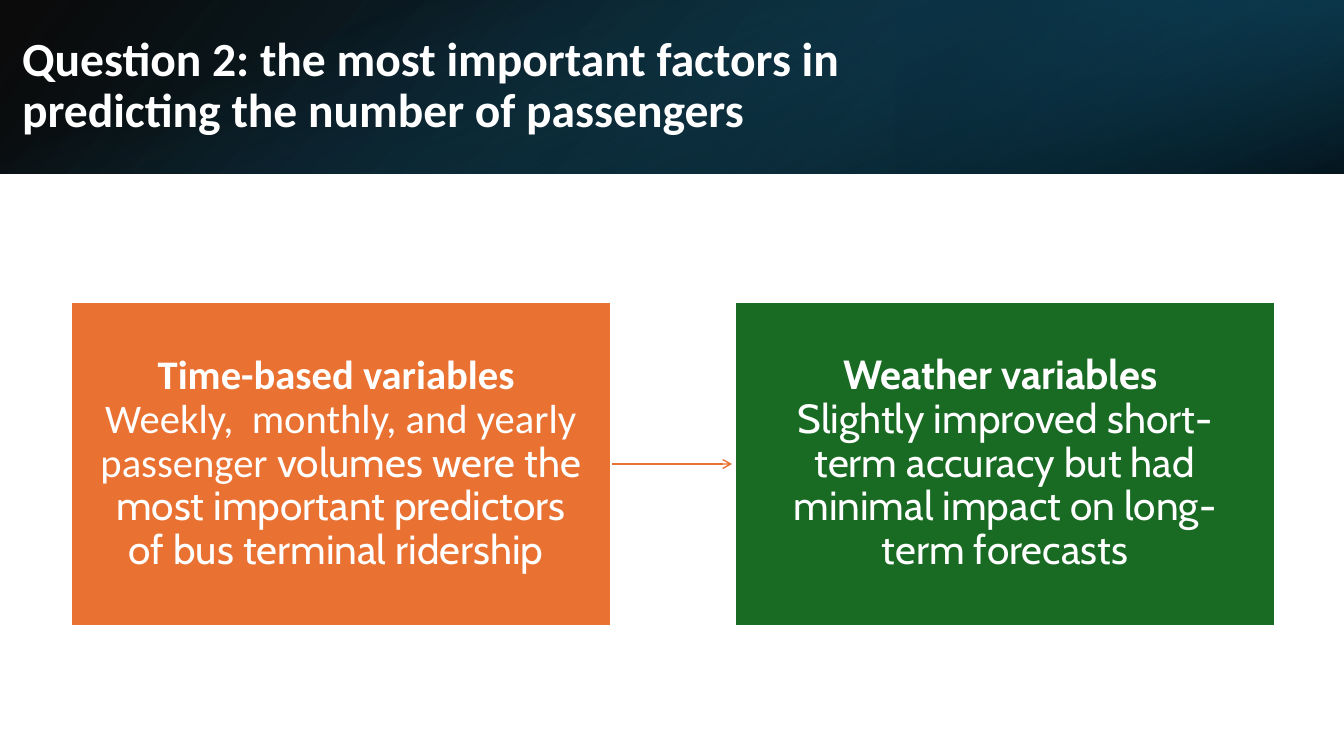
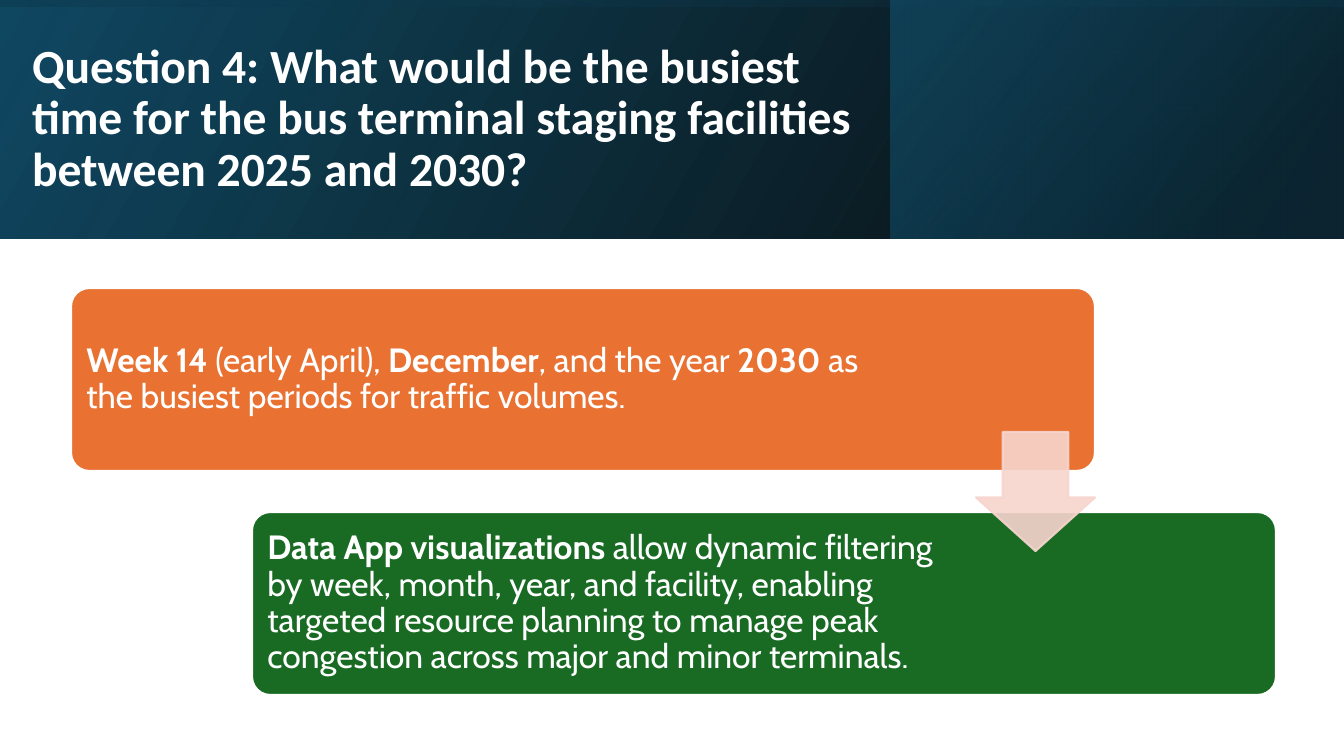
from dataclasses import dataclass

from lxml.etree import SubElement
from pptx import Presentation
from pptx.dml.color import RGBColor
from pptx.enum.shapes import MSO_CONNECTOR as Connector, MSO_SHAPE as Shape
from pptx.enum.text import MSO_ANCHOR as Anchor, MSO_AUTO_SIZE as AutoSize, PP_ALIGN as Align
from pptx.oxml import parse_xml
from pptx.oxml.ns import nsdecls, qn
from pptx.util import Emu, Pt

PX = 914400 / 100.8
SLIDE_W, SLIDE_H = 1344, 756


def px(length):
    return Emu(round(length * PX))


@dataclass(frozen=True)
class Theme:
    white: str = "FFFFFF"
    black: str = "000000"
    orange: str = "E97132"
    green: str = "196B24"
    blush: str = "F7D5CE"
    navy: str = "0B3041"
    deep_teal: str = "104862"
    teal: str = "156082"
    title_font: str = "Calibri"
    body_font: str = "Cabin"
    title_size: int = 34
    box_size: int = 29
    card_size: int = 24
    line_spacing: float = 0.9
    outline: float = 1.5


THEME = Theme()


class Deck:
    """Holds the style and the slide being built."""

    def __init__(self, theme):
        self.theme = theme
        self.file = Presentation()
        self.file.slide_width, self.file.slide_height = px(SLIDE_W), px(SLIDE_H)
        self.slide = None

    def new_slide(self):
        self.slide = self.file.slides.add_slide(self.file.slide_layouts[5])

    def shape(self, kind, x, y, w, h):
        shape = self.slide.shapes.add_shape(kind, px(x), px(y), px(w), px(h))
        shape.shadow.inherit = False
        return shape

    def paint(self, shape, fill, line):
        shape.fill.solid()
        shape.fill.fore_color.rgb = RGBColor.from_string(fill)
        shape.line.color.rgb = RGBColor.from_string(line)
        shape.line.width = Pt(self.theme.outline)

    def style(self, paragraph, size):
        paragraph.line_spacing = self.theme.line_spacing
        paragraph.font.size = Pt(size)
        paragraph.font.color.rgb = RGBColor.from_string(self.theme.white)

    def band_layer(self, x, w, h, stops, angle, flip=False, turn=0):
        """Gradient layer at the slide top; stops are (position, colour, opacity)."""
        y = 0
        if turn in (90, 270):
            x, y, w, h = x + (w - h) / 2, (h - w) / 2, h, w
        layer = self.shape(Shape.RECTANGLE, x, y, w, h)
        layer.rotation = turn
        props = layer.element.spPr
        if flip:
            props.xfrm.set("flipH", "1")
        stop_xml = "".join(
            f'<a:gs pos="{pos * 1000}"><a:srgbClr val="{colour}">'
            f'<a:alpha val="{opacity * 1000}"/></a:srgbClr></a:gs>'
            for pos, colour, opacity in stops)
        layer.fill.background()
        props.replace(props.find(qn("a:noFill")), parse_xml(
            f'<a:gradFill {nsdecls("a")} rotWithShape="1"><a:gsLst>{stop_xml}</a:gsLst>'
            f'<a:lin ang="{angle * 60000}" scaled="0"/></a:gradFill>'))
        layer.line.fill.background()

    def base_band(self, h, angle):
        stops = [(0, self.theme.black, 96), (100, self.theme.deep_teal, 100)]
        self.band_layer(0, SLIDE_W, h, stops, angle, flip=True)

    def title(self, text, x, y, w, h):
        title = self.slide.shapes.title
        title.left, title.top, title.width, title.height = map(px, (x, y, w, h))
        # Bring the title in front of the band
        title.element.getparent().append(title.element)
        frame = title.text_frame
        frame.text = text
        frame.word_wrap = True
        frame.auto_size = AutoSize.NONE
        frame.vertical_anchor = Anchor.MIDDLE
        paragraph = frame.paragraphs[0]
        paragraph.alignment = Align.LEFT
        self.style(paragraph, self.theme.title_size)
        paragraph.font.name = self.theme.title_font
        paragraph.font.bold = True

    def panel(self, kind, box, fill, runs, size, align, margins):
        """Filled shape with text; runs are (text, bold, font), None breaks the line."""
        panel = self.shape(kind, *box)
        self.paint(panel, fill, self.theme.white)
        if kind == Shape.ROUNDED_RECTANGLE:
            panel.adjustments[0] = 0.1
        frame = panel.text_frame
        frame.word_wrap = True
        frame.vertical_anchor = Anchor.MIDDLE
        (frame.margin_left, frame.margin_top,
         frame.margin_right, frame.margin_bottom) = map(px, margins)
        paragraph = frame.paragraphs[0]
        paragraph.alignment = align
        self.style(paragraph, size)
        for part in runs:
            if part is None:
                paragraph.add_line_break()
                continue
            run = paragraph.add_run()
            run.text, run.font.bold, run.font.name = part

    def arrow(self, x1, x2, y, colour):
        arrow = self.slide.shapes.add_connector(Connector.STRAIGHT, px(x1), px(y), px(x2), px(y))
        arrow.line.color.rgb = RGBColor.from_string(colour)
        arrow.line.width = Pt(1)
        SubElement(arrow.line._get_or_add_ln(), qn("a:tailEnd"), type="arrow")
        SubElement(arrow.element.spPr, qn("a:effectLst"))

    def down_arrow(self, x, y, size, colour, opacity):
        arrow = self.shape(Shape.DOWN_ARROW, x, y, size, size)
        arrow.adjustments[0], arrow.adjustments[1] = 0.55, 0.45
        self.paint(arrow, colour, colour)
        for tint in arrow.element.spPr.iter(qn("a:srgbClr")):
            SubElement(tint, qn("a:alpha"), val=str(opacity * 1000))


def factors_slide(deck):
    t = deck.theme
    deck.new_slide()

    # Title band
    band_h = 174
    deck.base_band(band_h, 140)
    deck.band_layer(896, 448, band_h, [(19, t.navy, 68), (100, t.teal, 79)], 320,
                    flip=True, turn=180)
    deck.band_layer(0, SLIDE_W, band_h, [(23, t.teal, 0), (99, t.black, 74)], 340, turn=90)
    deck.title("Question 2: the most important factors in predicting the number of passengers",
               12, 20, 883, 133)

    # Two groups of variables, joined by an arrow
    deck.arrow(611, 732, 464, t.orange)
    groups = [
        (t.orange, [("Time-based variables ", True, t.title_font), None,
                    ("Weekly,  monthly, and\u00a0yearly passenger ", False, t.title_font),
                    ("volumes were the most important predictors of bus terminal ridership ",
                     False, t.body_font)]),
        (t.green, [("Weather variables ", True, t.body_font), None,
                   ("Slightly improved short-term accuracy but had minimal impact on "
                    "long-term forecasts", False, t.body_font)]),
    ]
    for i, (fill, runs) in enumerate(groups):
        deck.panel(Shape.RECTANGLE, (71 + i * 664, 302, 540, 324), fill, runs,
                   t.box_size, Align.CENTER, (26, 28, 26, 28))


def busiest_time_slide(deck):
    t = deck.theme
    deck.new_slide()

    # Title band
    band_h = 239
    deck.base_band(band_h, 330)
    deck.band_layer(891, 452, band_h, [(19, t.navy, 68), (100, t.teal, 48)], 320, flip=True)
    deck.band_layer(0, SLIDE_W, band_h, [(23, t.deep_teal, 16), (99, t.black, 45)], 350,
                    flip=True, turn=270)
    deck.title("Question 4: What would be the busiest time for the bus terminal staging "
               "facilities between 2025 and 2030?", 22, 33, 869, 173)

    # Stepped cards: fill, right margin, text with its bold flag
    cards = [
        (t.orange, 188, [("Week 14", True), (" (early April), ", False), ("December", True),
                         (", and the year ", False), ("2030", True),
                         (" as the busiest periods for traffic volumes.", False)]),
        (t.green, 310, [("Data App visualizations", True),
                        (" allow dynamic filtering by week, month, year, and facility, "
                         "enabling targeted resource planning to manage peak congestion "
                         "across major and minor terminals.", False)]),
    ]
    for i, (fill, right, parts) in enumerate(cards):
        runs = [(text, bold, t.body_font) for text, bold in parts]
        deck.panel(Shape.ROUNDED_RECTANGLE, (71 + i * 181, 288 + i * 224, 1024, 183), fill,
                   runs, t.card_size, Align.LEFT, (10, 10, right, 10))
    deck.down_arrow(976, 432, 119, t.blush, 90)


def main():
    deck = Deck(THEME)
    factors_slide(deck)
    busiest_time_slide(deck)
    deck.file.save("out.pptx")


if __name__ == "__main__":
    main()
